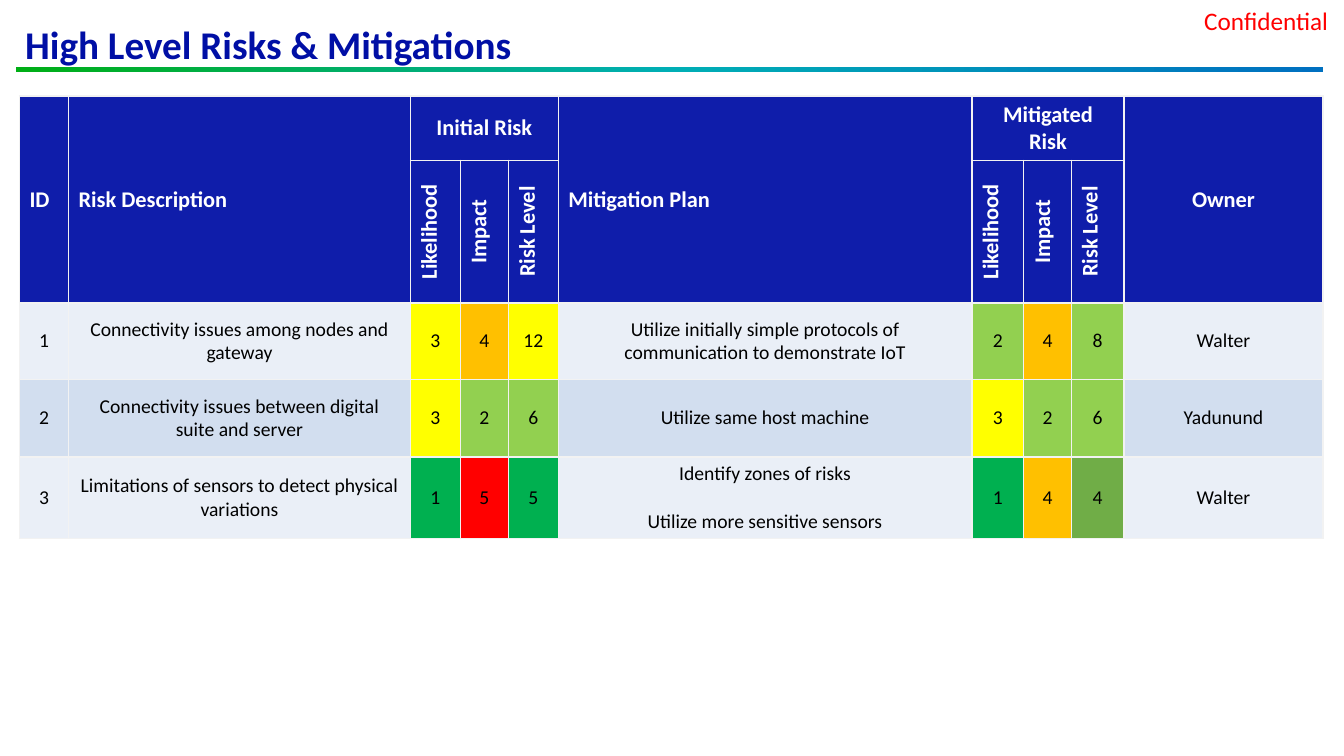
from copy import deepcopy

from lxml.etree import SubElement
from pptx import Presentation
from pptx.dml.color import RGBColor
from pptx.enum.shapes import MSO_SHAPE
from pptx.enum.text import MSO_ANCHOR, MSO_AUTO_SIZE, PP_ALIGN
from pptx.oxml.ns import qn
from pptx.util import Pt

TITLE = "High Level Risks & Mitigations"
MARK = "Confidential "
RULE_COLORS = ["00AE15", "00AEB5", "0070C0"]

SCORES = ["Likelihood", "Impact", "Risk Level"]
# row, column, last row, last column, text
HEADERS = [
    (0, 0, 1, 0, "ID"),
    (0, 1, 1, 1, "Risk Description"),
    (0, 2, 0, 4, "Initial Risk"),
    (0, 5, 1, 5, "Mitigation Plan"),
    (0, 6, 0, 8, "Mitigated Risk"),
    (0, 9, 1, 9, "Owner"),
]
LEFT_HEADERS = {"ID", "Risk Description", "Mitigation Plan"}
RISKS = [
    (1, "Connectivity issues among nodes and gateway", 3, 4, 12,
     "Utilize initially simple protocols of communication to demonstrate IoT",
     2, 4, 8, "Walter"),
    (2, "Connectivity issues between digital suite and server", 3, 2, 6,
     "Utilize same host machine", 3, 2, 6, "Yadunund"),
    (3, "Limitations of sensors to detect physical variations", 1, 5, 5,
     "Identify zones of risks\nUtilize more sensitive sensors",
     1, 4, 4, "Walter"),
]

SCORE_GROUPS = (2, 6)  # first column of each group of three scores
RATING_FILL = {1: "00B050", 2: "92D050", 3: "FFFF00", 4: "FFC000", 5: "FF0000"}
LEVEL_FILL = {4: "70AD47", 5: "00B050", 6: "92D050", 8: "92D050", 12: "FFFF00"}
BAND_FILL = ["EAEFF7", "D2DEEF"]
HEADER_FILL = "0F1DAA"
BORDER = "F2F2F2"

COL_WIDTHS = [35.1, 244.2, 35.5, 34.5, 35.6, 295.6, 37, 33.8, 37.8, 142.1]
ROW_HEIGHTS = [46, 102, 54.5, 55.5, 58.5]

HEADER_FONT = dict(size=Pt(16), bold=True, color="FFFFFF")
BODY_FONT = dict(size=Pt(14), bold=False, color="000000")


def rgb(value):
    return RGBColor.from_string(value)


def write(tf, text, font, align=PP_ALIGN.CENTER, gap=0):
    """Fill a text frame, one paragraph per line, with gap points between."""
    for i, line in enumerate(text.split("\n")):
        p = tf.paragraphs[0] if i == 0 else tf.add_paragraph()
        p.alignment = align
        if i:
            p.space_before = Pt(gap)
        r = p.add_run()
        r.text = line
        r.font.name = "Calibri"
        for name, value in font.items():
            if name == "color":
                r.font.color.rgb = rgb(value)
            else:
                setattr(r.font, name, value)


def style_cell(cell, fill):
    cell.fill.solid()
    cell.fill.fore_color.rgb = rgb(fill)
    cell.vertical_anchor = MSO_ANCHOR.MIDDLE
    tc_pr = cell._tc.get_or_add_tcPr()
    for i, side in enumerate(("lnL", "lnR", "lnT", "lnB")):
        ln = SubElement(tc_pr, qn(f"a:{side}"), w=str(Pt(1)))
        SubElement(SubElement(ln, qn("a:solidFill")), qn("a:srgbClr"), val=BORDER)
        tc_pr.insert(i, ln)


def body_fill(row, col, value):
    for first in SCORE_GROUPS:
        if first <= col < first + 3:
            return (LEVEL_FILL if col == first + 2 else RATING_FILL)[value]
    return BAND_FILL[row % 2]


def add_title(s):
    sp = s.shapes.title
    sp.left, sp.top, sp.width, sp.height = Pt(10.8), Pt(4.3), Pt(846.7), Pt(47.5)
    tf = sp.text_frame
    for name, value in dict(vertical_anchor=MSO_ANCHOR.BOTTOM, word_wrap=True,
                            auto_size=MSO_AUTO_SIZE.NONE).items():
        setattr(tf, name, value)
    write(tf, TITLE, dict(size=Pt(28), bold=True, color="000FA5"), PP_ALIGN.LEFT)
    tf.paragraphs[0].line_spacing = 0.9


def add_mark(s):
    sp = s.shapes.add_textbox(Pt(733.7), 0, Pt(226.1), Pt(29))
    sp.text_frame.word_wrap = True
    write(sp.text_frame, MARK, dict(size=Pt(18), color="FF0000"), PP_ALIGN.RIGHT)


def add_rule(s):
    sp = s.shapes.add_shape(MSO_SHAPE.RECTANGLE, Pt(11.5), Pt(47.8), Pt(933.3), Pt(3.6))
    sp.shadow.inherit = False
    sp.line.fill.background()
    sp.fill.gradient()
    sp.fill.gradient_angle = 0
    stops = sp._element.spPr.find(qn("a:gradFill")).find(qn("a:gsLst"))
    stops.append(deepcopy(stops[0]))
    for i, (stop, color) in enumerate(zip(sp.fill.gradient_stops, RULE_COLORS)):
        stop.position = i / 2
        stop.color.rgb = rgb(color)


def add_risk_table(s):
    table = s.shapes.add_table(
        len(ROW_HEIGHTS), len(COL_WIDTHS), Pt(13.9), Pt(68.5),
        Pt(sum(COL_WIDTHS)), Pt(sum(ROW_HEIGHTS))).table
    for col, width in zip(table.columns, COL_WIDTHS):
        col.width = Pt(width)
    for row, height in zip(table.rows, ROW_HEIGHTS):
        row.height = Pt(height)

    for row in range(2):
        for col in range(len(COL_WIDTHS)):
            style_cell(table.cell(row, col), HEADER_FILL)
    for row, col, last_row, last_col, text in HEADERS:
        cell = table.cell(row, col)
        cell.merge(table.cell(last_row, last_col))
        align = PP_ALIGN.LEFT if text in LEFT_HEADERS else PP_ALIGN.CENTER
        write(cell.text_frame, text, HEADER_FONT, align)
    for first in SCORE_GROUPS:
        for col, text in enumerate(SCORES, first):
            cell = table.cell(1, col)
            cell._tc.get_or_add_tcPr().set("vert", "vert270")
            write(cell.text_frame, text, HEADER_FONT)

    for row, risk in enumerate(RISKS):
        for col, value in enumerate(risk):
            cell = table.cell(row + 2, col)
            style_cell(cell, body_fill(row, col, value))
            write(cell.text_frame, str(value), BODY_FONT, gap=17)


def main():
    prs = Presentation()
    prs.slide_width, prs.slide_height = Pt(960), Pt(540)
    s = prs.slides.add_slide(prs.slide_layouts[5])
    add_mark(s)
    add_rule(s)
    add_title(s)
    add_risk_table(s)
    prs.save("out.pptx")


if __name__ == "__main__":
    main()
